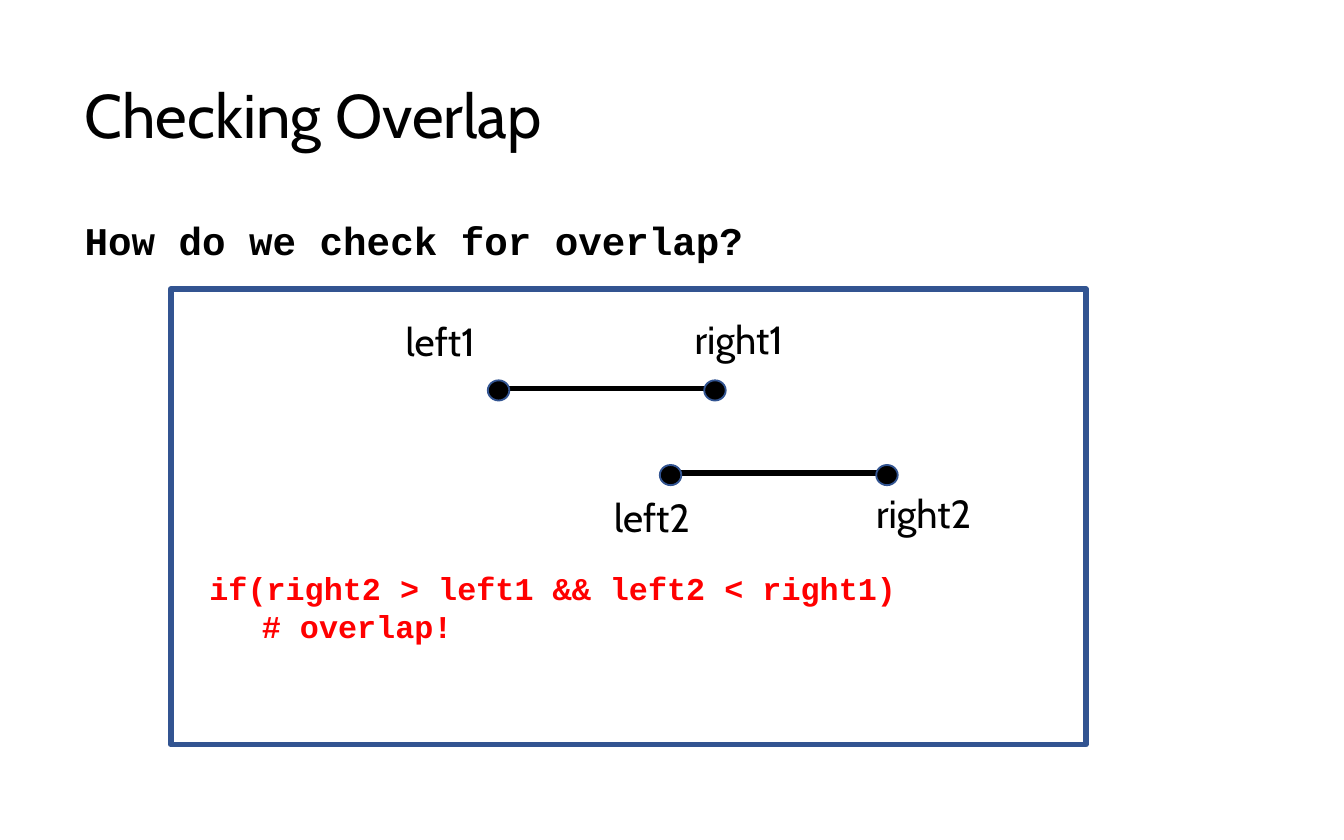
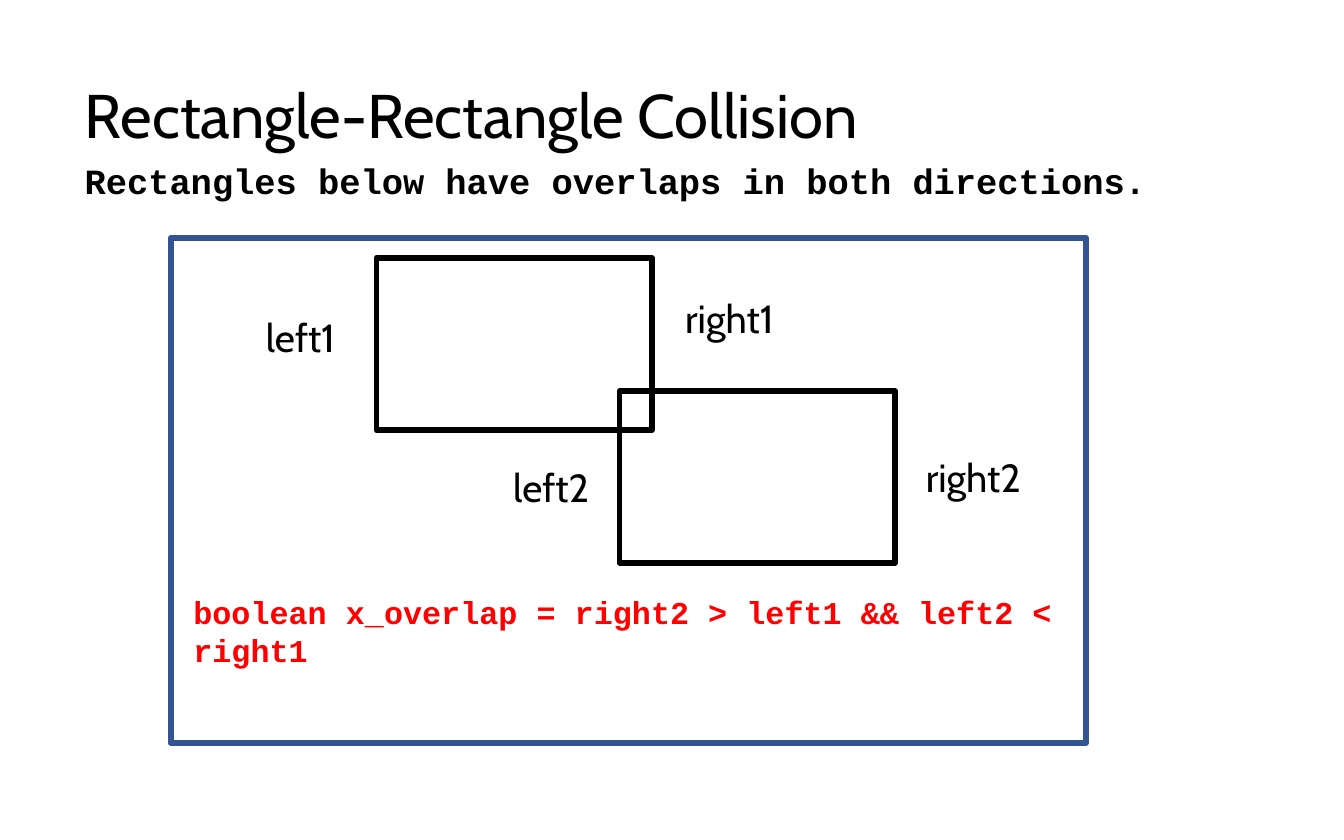
from lxml.etree import SubElement
from pptx import Presentation
from pptx.dml.color import RGBColor
from pptx.enum.shapes import MSO_CONNECTOR, MSO_SHAPE
from pptx.enum.text import MSO_ANCHOR, MSO_AUTO_SIZE, PP_ALIGN
from pptx.oxml.ns import qn
from pptx.util import Inches, Pt

BLACK = "000000"
BLUE = "325491"
RED = "FF0000"
HEADING_FONT = "Cabin"
CODE_FONT = "Courier New"
FRAME_LEFT, FRAME_WIDTH = 1.27, 6.81
SEGMENT_LENGTH = 1.63
DOT_WIDTH, DOT_HEIGHT = 0.16, 0.15
LABEL_HEIGHT = 0.45
CODE_INDENT = 0.39


def color(value):
    return RGBColor.from_string(value)


def place(shape, left, top, width, height):
    shape.left, shape.top = Inches(left), Inches(top)
    shape.width, shape.height = Inches(width), Inches(height)


def add_span(para, text, size, font, shade=BLACK, bold=False):
    span = para.add_run()
    span.text = text
    span.font.size = Pt(size)
    span.font.name = font
    span.font.bold = bold
    span.font.color.rgb = color(shade)


def fill_placeholder(box, text, size, font, bold, anchor):
    frame = box.text_frame
    frame.word_wrap = True
    frame.auto_size = MSO_AUTO_SIZE.NONE
    frame.vertical_anchor = anchor
    para = frame.paragraphs[0]
    properties = para._p.get_or_add_pPr()
    properties.set("marL", "0")
    properties.set("indent", "0")
    SubElement(properties, qn("a:buNone"))
    para.alignment = PP_ALIGN.LEFT
    para.line_spacing = 0.9
    para.space_before = Pt(0)
    add_span(para, text, size, font, bold=bold)


def add_page(deck, title, statement, statement_top, statement_size):
    page = deck.slides.add_slide(deck.slide_layouts[1])
    heading, body = page.shapes.title, page.placeholders[1]
    place(heading, 0.53, 0.51, 7.71, 0.75)
    fill_placeholder(heading, title, 33, HEADING_FONT, False, MSO_ANCHOR.MIDDLE)
    place(body, 0.53, statement_top, 9.06, 6.22 - statement_top)
    fill_placeholder(body, statement, statement_size, CODE_FONT, True, MSO_ANCHOR.TOP)
    return page


def add_outline(page, left, top, width, height, shade):
    box = page.shapes.add_shape(
        MSO_SHAPE.RECTANGLE, Inches(left), Inches(top), Inches(width), Inches(height)
    )
    box.shadow.inherit = False
    box.fill.background()
    box.line.color.rgb = color(shade)
    box.line.width = Pt(3)


def add_text_box(parent, left, top, width, height):
    box = parent.shapes.add_textbox(
        Inches(left), Inches(top), Inches(width), Inches(height)
    )
    box.text_frame.word_wrap = True
    box.text_frame.auto_size = MSO_AUTO_SIZE.SHAPE_TO_FIT_TEXT
    return box.text_frame


def add_label(parent, text, left, top, width):
    frame = add_text_box(parent, left, top, width, LABEL_HEIGHT)
    add_span(frame.paragraphs[0], text, 21, HEADING_FONT)


def add_code(page, lines, left, top, width):
    frame = add_text_box(page, left, top, width, 0.67)
    for index, line in enumerate(lines):
        para = frame.add_paragraph() if index else frame.paragraphs[0]
        tabs = SubElement(para._p.get_or_add_pPr(), qn("a:tabLst"))
        SubElement(tabs, qn("a:tab"), pos=str(Inches(CODE_INDENT)), algn="l")
        add_span(para, line, 17, CODE_FONT, RED, True)


def add_dot(parent, left, top):
    dot = parent.shapes.add_shape(
        MSO_SHAPE.OVAL, Inches(left), Inches(top), Inches(DOT_WIDTH), Inches(DOT_HEIGHT)
    )
    dot.shadow.inherit = False
    dot.fill.solid()
    dot.fill.fore_color.rgb = color(BLACK)
    dot.line.color.rgb = color(BLUE)
    dot.line.width = Pt(1)


def add_segment(page, left, top, labels):
    group = page.shapes.add_group_shape()
    right = left + SEGMENT_LENGTH
    line = group.shapes.add_connector(
        MSO_CONNECTOR.STRAIGHT, Inches(left), Inches(top), Inches(right), Inches(top)
    )
    line.line.color.rgb = color(BLACK)
    line.line.width = Pt(3)
    SubElement(line._element.spPr, qn("a:effectLst"))
    for label in labels:
        add_label(group, *label)
    for dot_left in (left - 0.07, right - 0.09):
        add_dot(group, dot_left, top - 0.06)


def build_overlap_page(deck):
    page = add_page(deck, "Checking Overlap", "How do we check for overlap?", 1.6, 21)
    add_outline(page, FRAME_LEFT, 2.15, FRAME_WIDTH, 3.39, BLUE)
    add_segment(
        page, 3.7, 2.89, [("left1", 2.92, 2.31, 0.78), ("right1", 5.07, 2.3, 1.01)]
    )
    add_segment(
        page, 4.98, 3.52, [("left2", 4.47, 3.62, 1.01), ("right2", 6.42, 3.59, 1.01)]
    )
    code = ["if(right2 > left1 && left2 < right1)", "\t# overlap!"]
    add_code(page, code, 1.46, 4.18, 6.04)


def build_collision_page(deck):
    page = add_page(
        deck,
        "Rectangle-Rectangle Collision",
        "Rectangles below have overlaps in both directions.",
        1.17,
        19,
    )
    add_outline(page, FRAME_LEFT, 1.77, FRAME_WIDTH, 3.76, BLUE)
    for left, top in ((2.8, 1.92), (4.61, 2.91)):
        add_outline(page, left, top, 2.05, 1.28, BLACK)
    for label in (
        ("left1", 1.88, 2.28, 0.92),
        ("right1", 5, 2.14, 1.53),
        ("left2", 3.72, 3.4, 0.92),
        ("right2", 6.79, 3.32, 1.36),
    ):
        add_label(page, *label)
    code = ["boolean x_overlap = right2 > left1 && left2 < right1"]
    add_code(page, code, 1.34, 4.36, 6.67)


def main():
    deck = Presentation()
    deck.slide_width, deck.slide_height = Inches(10), Inches(6.25)
    build_overlap_page(deck)
    build_collision_page(deck)
    deck.save("out.pptx")


if __name__ == "__main__":
    main()
